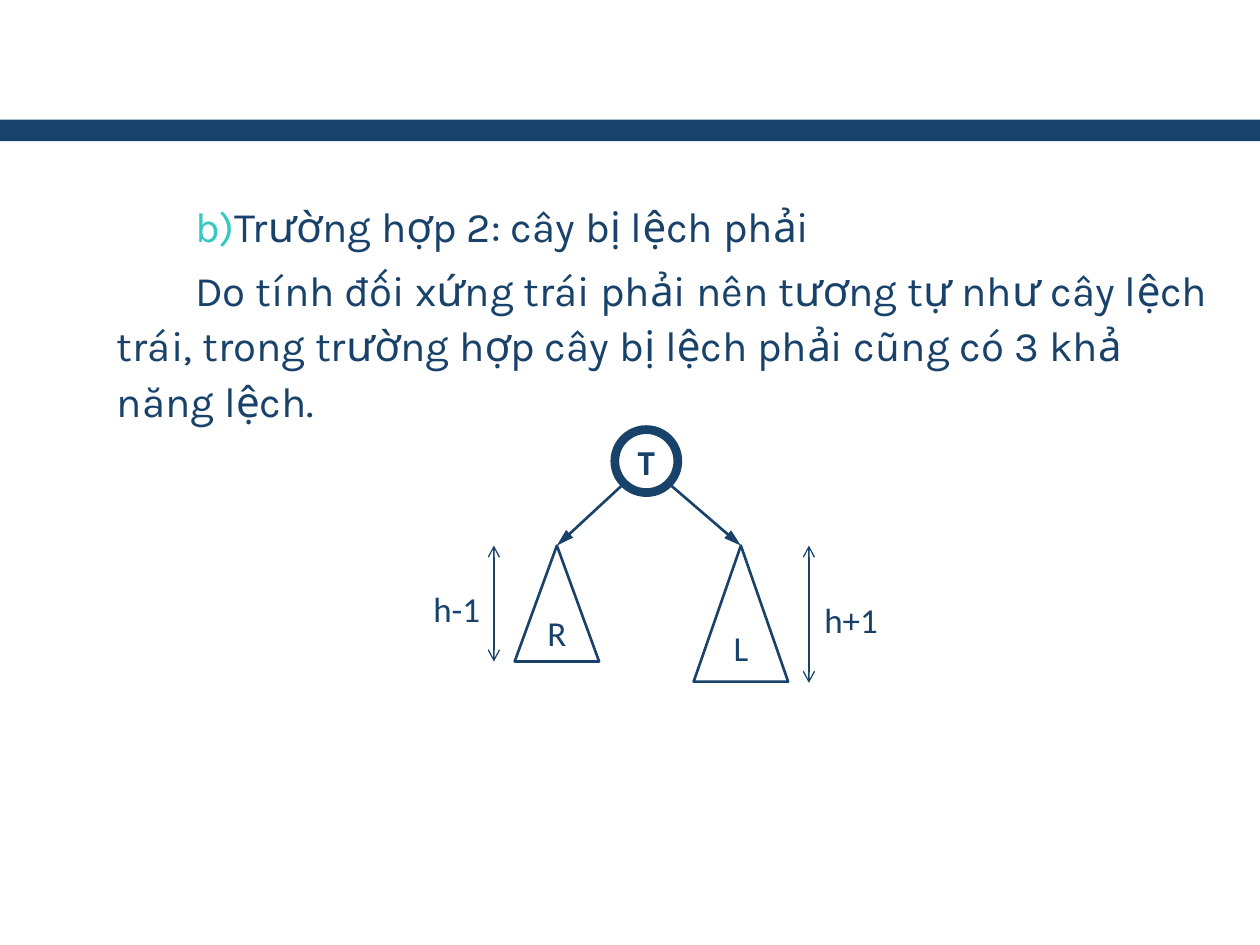
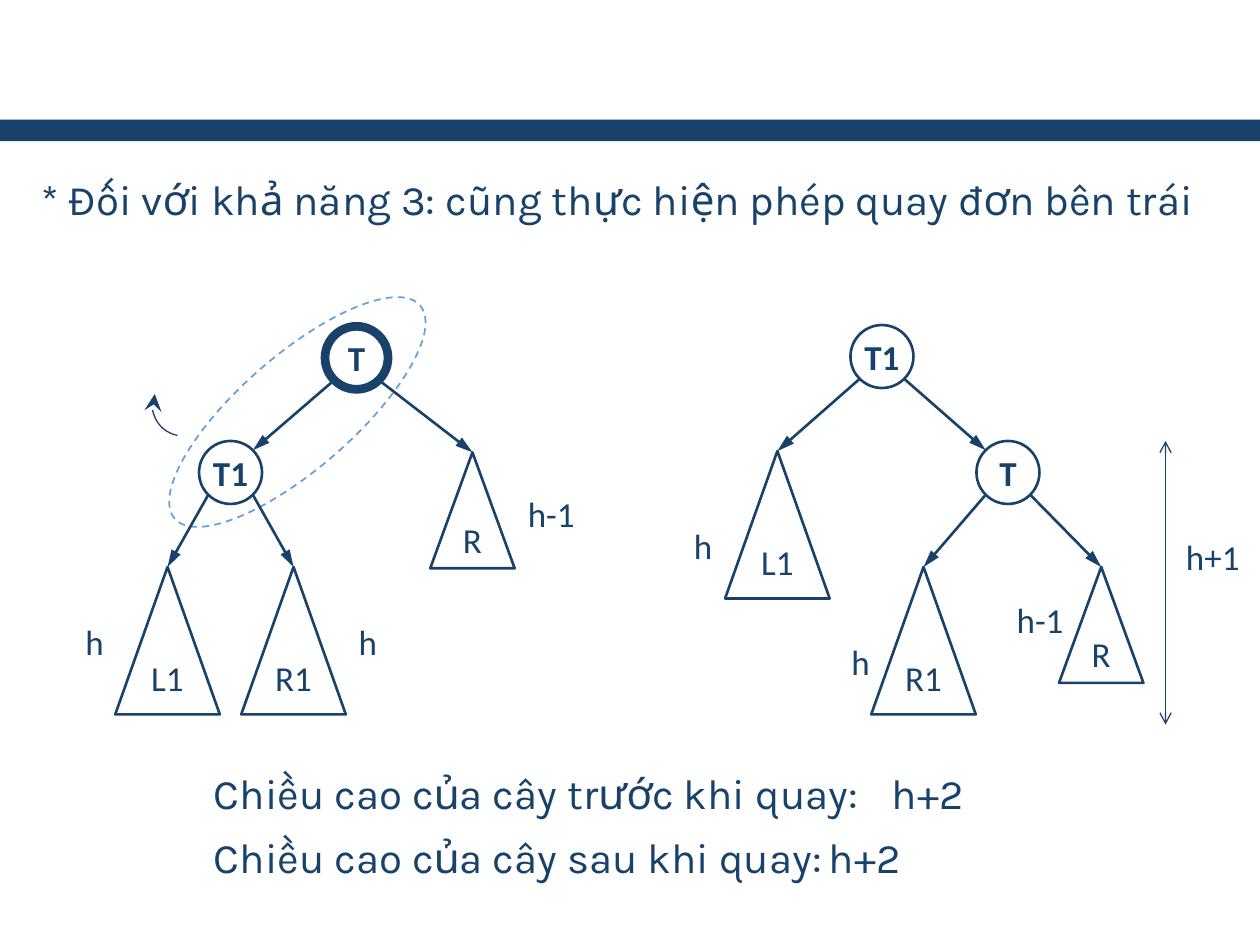
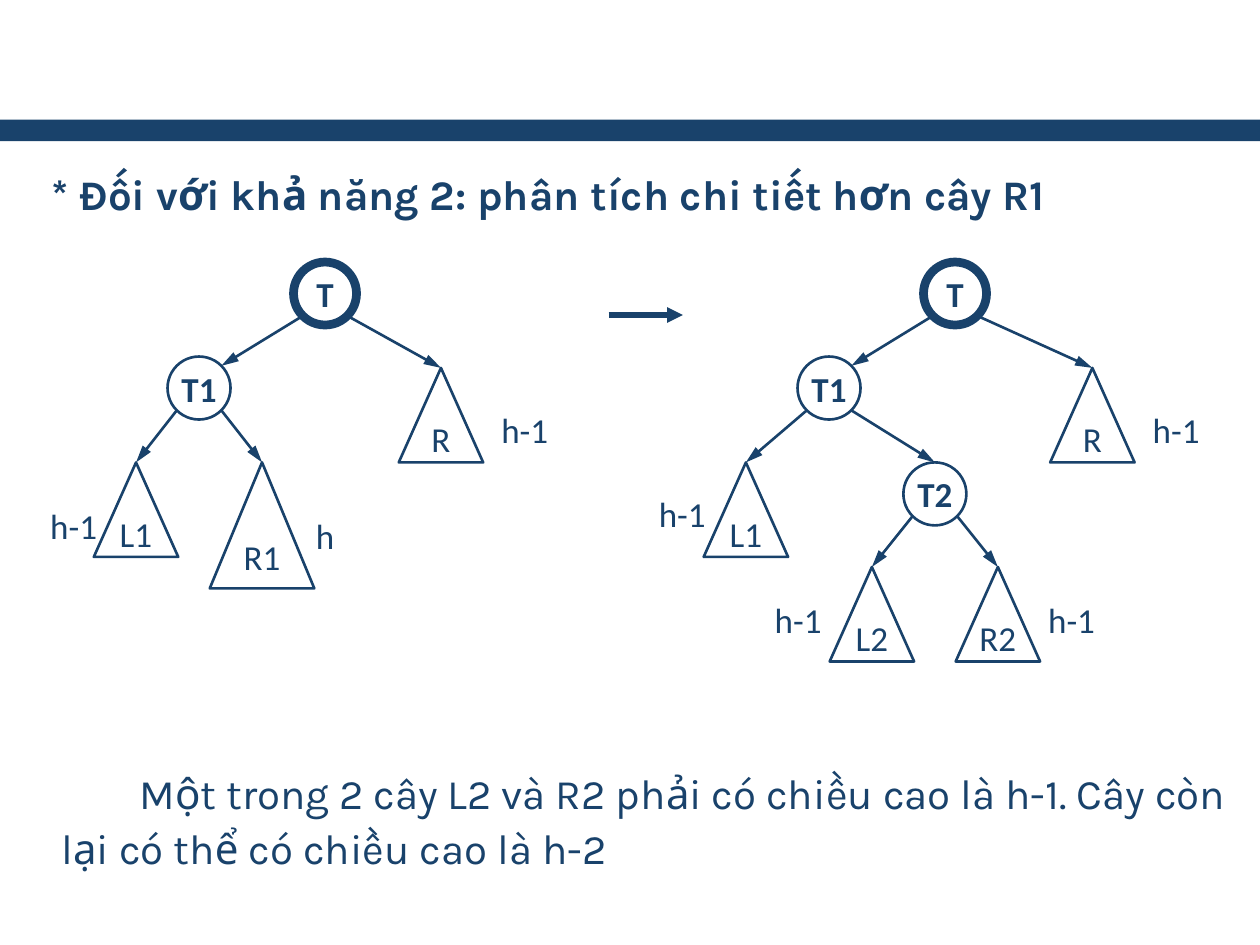
from lxml import etree
from pptx import Presentation
from pptx.dml.color import RGBColor
from pptx.enum.dml import MSO_LINE
from pptx.enum.shapes import MSO_CONNECTOR, MSO_SHAPE
from pptx.enum.text import MSO_ANCHOR, PP_ALIGN
from pptx.oxml.ns import qn
from pptx.util import Inches, Pt

RECTANGLE = MSO_SHAPE.RECTANGLE
OVAL = MSO_SHAPE.OVAL
TRIANGLE = MSO_SHAPE.ISOSCELES_TRIANGLE
ARC = MSO_SHAPE.ARC
STRAIGHT = MSO_CONNECTOR.STRAIGHT
DASH = MSO_LINE.DASH
CENTER = PP_ALIGN.CENTER
MIDDLE = MSO_ANCHOR.MIDDLE

COLORS = {"navy": "19426B", "teal": "35C9C2", "sky": "66A0DB", "white": "FFFFFF"}
BODY_FONT, DIAGRAM_FONT = "Karla", "Calibri"
BODY_SIZE, DIAGRAM_SIZE = 24, 20
NODE_SIZE = 0.5
NODE_CORNER = NODE_SIZE / 2 * 0.707
SMALL, LARGE = (0.67, 0.92), (0.83, 1.17)
SMALL_FLAT, LARGE_FLAT = (0.67, 0.75), (0.83, 1)


def color(name):
    return RGBColor.from_string(COLORS[name])


def format_runs(paragraph, font, size, bold=False):
    for run in paragraph.runs:
        run.font.name = font
        run.font.size = Pt(size)
        run.font.bold = bold
        run.font.color.rgb = color("navy")


def set_line(shape, width, name="navy"):
    shape.line.color.rgb = color(name)
    shape.line.width = Pt(width)


def add_arrowhead(shape, end, kind, width="med", length="med"):
    line = shape.element.spPr.get_or_add_ln()
    etree.SubElement(line, qn(f"a:{end}End"), type=kind, w=width, len=length)


def add_plain_shape(slide, kind, left, top, width, height, fill=None):
    shape = slide.shapes.add_shape(
        kind, Inches(left), Inches(top), Inches(width), Inches(height))
    shape.shadow.inherit = False
    if fill:
        shape.fill.solid()
        shape.fill.fore_color.rgb = color(fill)
    else:
        shape.fill.background()
    return shape


def add_slide(presentation):
    slide = presentation.slides.add_slide(presentation.slide_layouts[6])
    band = add_plain_shape(slide, RECTANGLE, 0, 0.95, 10, 0.17, "navy")
    band.line.fill.background()
    return slide


def add_text_box(slide, left, top, width, height):
    text_box = slide.shapes.add_textbox(
        Inches(left), Inches(top), Inches(width), Inches(height))
    text_box.text_frame.word_wrap = True
    return text_box.text_frame


def add_prose(slide, text, box, margin=0.06, indent=0.62, bold=False):
    text_frame = add_text_box(slide, *box)
    text_frame.text = text
    for paragraph in text_frame.paragraphs:
        paragraph.line_spacing = 1.1
        paragraph.space_before = Pt(5)
        properties = paragraph._p.get_or_add_pPr()
        properties.set("marL", str(Inches(margin)))
        properties.set("indent", str(Inches(indent)))
        format_runs(paragraph, BODY_FONT, BODY_SIZE, bold)
    return text_frame.paragraphs


def number_paragraph(paragraph, start):
    properties = paragraph._p.get_or_add_pPr()
    bullet_color = etree.SubElement(properties, qn("a:buClr"))
    etree.SubElement(bullet_color, qn("a:srgbClr"), val=COLORS["teal"])
    etree.SubElement(properties, qn("a:buAutoNum"), type="alphaLcParenR", startAt=str(start))


def add_tab_stop(paragraph, position):
    tabs = etree.SubElement(paragraph._p.get_or_add_pPr(), qn("a:tabLst"))
    etree.SubElement(tabs, qn("a:tab"), pos=str(Inches(position)), algn="l")


def add_label(slide, text, left, top, width=0.67):
    text_frame = add_text_box(slide, left, top, width, 0.5)
    text_frame.text = text
    paragraph = text_frame.paragraphs[0]
    paragraph.alignment = CENTER
    paragraph.line_spacing = 1.1
    paragraph.space_before = Pt(4)
    format_runs(paragraph, DIAGRAM_FONT, DIAGRAM_SIZE)


def set_caption(shape, text, bold=False):
    text_frame = shape.text_frame
    text_frame.margin_left = text_frame.margin_right = 0
    text_frame.vertical_anchor = MIDDLE
    text_frame.text = text
    paragraph = text_frame.paragraphs[0]
    paragraph.alignment = CENTER
    format_runs(paragraph, DIAGRAM_FONT, DIAGRAM_SIZE, bold)


def add_node(slide, text, left, top, unbalanced=False):
    node = add_plain_shape(slide, OVAL, left, top, NODE_SIZE, NODE_SIZE,
                           None if unbalanced else "white")
    set_line(node, 5 if unbalanced else 1.5)
    set_caption(node, text, bold=True)
    return node


def add_subtree(slide, text, apex_x, apex_y, size):
    width, height = size
    subtree = add_plain_shape(
        slide, TRIANGLE, apex_x - width / 2, apex_y, width, height, "white")
    set_line(subtree, 1.5)
    set_caption(subtree, text)
    return subtree


def add_line(slide, start, end, width):
    connector = slide.shapes.add_connector(STRAIGHT, *start, *end)
    set_line(connector, width)
    etree.SubElement(connector.element.spPr, qn("a:effectLst"))
    return connector


def middle_x(shape):
    return shape.left + shape.width // 2


def node_corner(node, side, vertical):
    offset = Inches(NODE_CORNER)
    return middle_x(node) + side * offset, node.top + node.height // 2 + vertical * offset


def add_branch(slide, parent, child, to_top=True):
    side = 1 if middle_x(child) > middle_x(parent) else -1
    end = (middle_x(child), child.top) if to_top else node_corner(child, -side, -1)
    branch = add_line(slide, node_corner(parent, side, 1), end, 1.5)
    if to_top:
        branch.end_connect(child, 0)
    add_arrowhead(branch, "tail", "triangle", length="lg")


def add_height_arrow(slide, x, top, bottom):
    arrow = add_line(slide, (Inches(x), Inches(top)), (Inches(x), Inches(bottom)), 0.75)
    for end in ("head", "tail"):
        add_arrowhead(arrow, end, "arrow")


def add_rotation_marks(slide):
    pair = add_plain_shape(slide, OVAL, 1.07, 2.82, 2.58, 0.9)
    pair.rotation = 319
    set_line(pair, 1, "sky")
    pair.line.dash_style = DASH
    turn = add_plain_shape(slide, ARC, 1.21, 2.98, 0.49, 0.48)
    turn.rotation = 191.3
    turn.adjustments[0] = 162
    turn.adjustments[1] = 6.66
    set_line(turn, 0.75)
    add_arrowhead(turn, "tail", "stealth", "lg", "lg")


def build_right_heavy_case(presentation):
    slide = add_slide(presentation)
    paragraphs = add_prose(
        slide,
        "Trường hợp 2: cây bị lệch phải\n"
        "Do tính đối xứng trái phải nên tương tự như cây lệch trái, trong trường hợp "
        "cây bị lệch phải cũng có 3 khả năng lệch.",
        (0.33, 1.5, 9.42, 2), margin=0.5)
    number_paragraph(paragraphs[0], 2)
    root = add_node(slide, "T", 4.88, 3.41, unbalanced=True)
    add_branch(slide, root, add_subtree(slide, "R", 4.42, 4.33, SMALL))
    add_branch(slide, root, add_subtree(slide, "L", 5.88, 4.33, (0.75, 1.08)))
    add_height_arrow(slide, 3.92, 4.33, 5.25)
    add_label(slide, "h-1", 3.25, 4.58, 0.75)
    add_height_arrow(slide, 6.42, 4.33, 5.42)
    add_label(slide, "h+1", 6.42, 4.67)


def build_single_rotation(presentation):
    slide = add_slide(presentation)
    add_prose(slide, "* Đối với khả năng 3: cũng thực hiện phép quay đơn bên trái",
              (0.17, 1.29, 9.58, 0.58), indent=0)
    heights = add_prose(
        slide,
        "Chiều cao của cây trước khi quay:\th+2\nChiều cao của cây sau khi quay:\th+2",
        (0.92, 6, 7.17, 1))
    for paragraph, position in zip(heights, (5.96, 5.83)):
        add_tab_stop(paragraph, position)

    add_rotation_marks(slide)
    root = add_node(slide, "T", 2.58, 2.59, unbalanced=True)
    left_child = add_node(slide, "T1", 1.58, 3.5)
    add_branch(slide, root, left_child, to_top=False)
    add_branch(slide, root, add_subtree(slide, "R", 3.75, 3.59, SMALL))
    add_branch(slide, left_child, add_subtree(slide, "L1", 1.33, 4.5, LARGE))
    add_branch(slide, left_child, add_subtree(slide, "R1", 2.33, 4.5, LARGE))
    add_label(slide, "h-1", 4, 3.83, 0.75)
    add_label(slide, "h", 2.67, 4.84, 0.5)
    add_label(slide, "h", 0.5, 4.84, 0.5)

    new_root = add_node(slide, "T1", 6.75, 2.58)
    right_child = add_node(slide, "T", 7.75, 3.5)
    add_branch(slide, new_root, right_child, to_top=False)
    add_branch(slide, new_root, add_subtree(slide, "L1", 6.17, 3.58, LARGE))
    add_branch(slide, right_child, add_subtree(slide, "R1", 7.33, 4.5, LARGE))
    add_branch(slide, right_child, add_subtree(slide, "R", 8.74, 4.5, SMALL))
    add_label(slide, "h", 5.33, 4.08, 0.5)
    add_label(slide, "h", 6.58, 5, 0.5)
    add_label(slide, "h-1", 7.92, 4.67)
    add_label(slide, "h+1", 9.25, 4.17, 0.75)
    add_height_arrow(slide, 9.25, 3.5, 5.75)


def add_left_heavy_top(slide, left, right_apex, left_apex):
    root = add_node(slide, "T", left + 1, 2.08, unbalanced=True)
    left_child = add_node(slide, "T1", left, 2.83)
    add_branch(slide, root, left_child, to_top=False)
    add_branch(slide, root, add_subtree(slide, "R", right_apex, 2.92, SMALL_FLAT))
    add_branch(slide, left_child, add_subtree(slide, "L1", left_apex, 3.67, SMALL_FLAT))
    add_label(slide, "h-1", right_apex + 0.33, 3.16)
    return left_child


def build_detailed_analysis(presentation):
    slide = add_slide(presentation)
    add_prose(slide, "* Đối với khả năng 2: phân tích chi tiết hơn cây R1",
              (0.25, 1.25, 9.58, 0.58), indent=0, bold=True)
    add_prose(slide,
              "Một trong 2 cây L2 và R2 phải có chiều cao là h-1. "
              "Cây còn lại có thể có chiều cao là h-2",
              (0.33, 6, 9.5, 1))

    left_child = add_left_heavy_top(slide, 1.33, 3.5, 1.08)
    add_branch(slide, left_child, add_subtree(slide, "R1", 2.08, 3.67, LARGE_FLAT))
    add_label(slide, "h-1", 0.25, 3.92)
    add_label(slide, "h", 2.33, 4, 0.5)

    step = add_line(slide, (Inches(4.83), Inches(2.5)), (Inches(5.42), Inches(2.5)), 3)
    add_arrowhead(step, "tail", "triangle")

    left_child = add_left_heavy_top(slide, 6.33, 8.67, 5.92)
    grandchild = add_node(slide, "T2", 7.17, 3.67)
    add_branch(slide, left_child, grandchild)
    add_branch(slide, grandchild, add_subtree(slide, "L2", 6.92, 4.5, SMALL_FLAT))
    add_branch(slide, grandchild, add_subtree(slide, "R2", 7.92, 4.5, SMALL_FLAT))
    add_label(slide, "h-1", 5.08, 3.83)
    add_label(slide, "h-1", 6, 4.67)
    add_label(slide, "h-1", 8.17, 4.67)


def main():
    presentation = Presentation()
    presentation.slide_width = Inches(10)
    presentation.slide_height = Inches(7.5)
    build_right_heavy_case(presentation)
    build_single_rotation(presentation)
    build_detailed_analysis(presentation)
    presentation.save("out.pptx")


if __name__ == "__main__":
    main()
